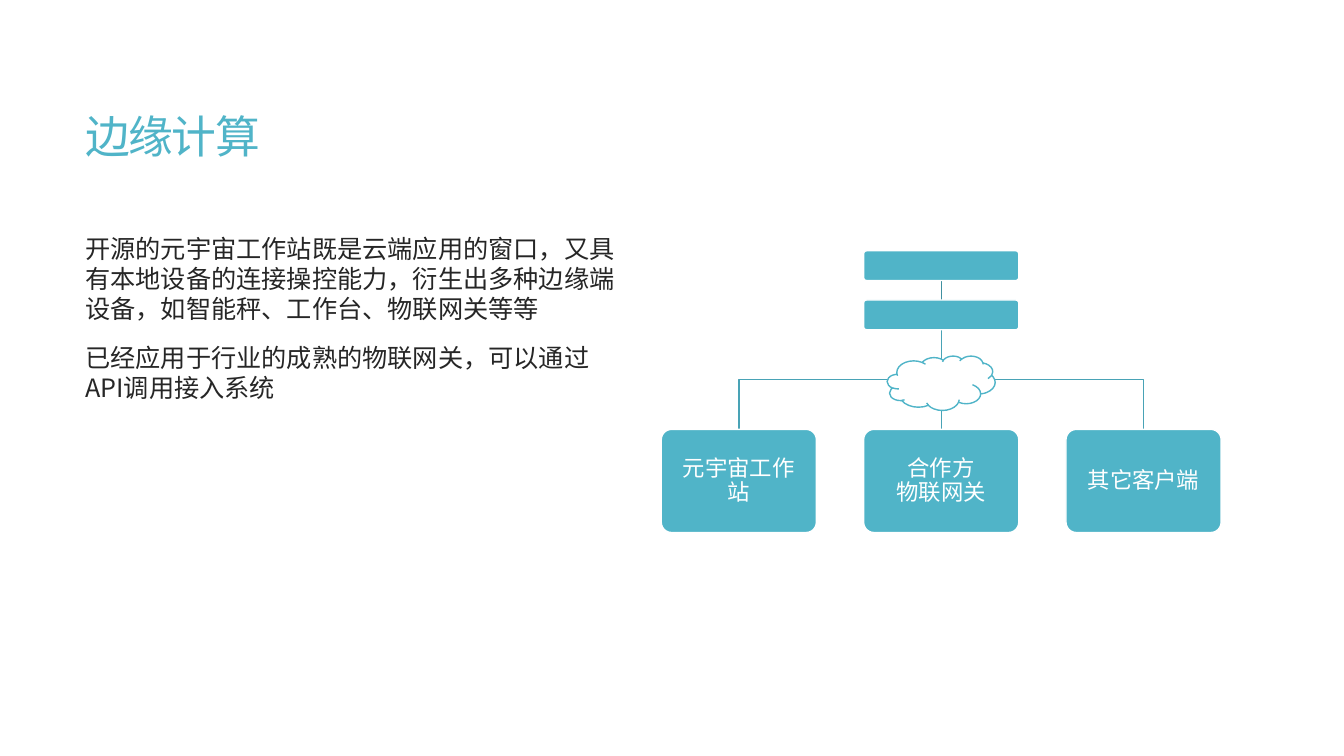
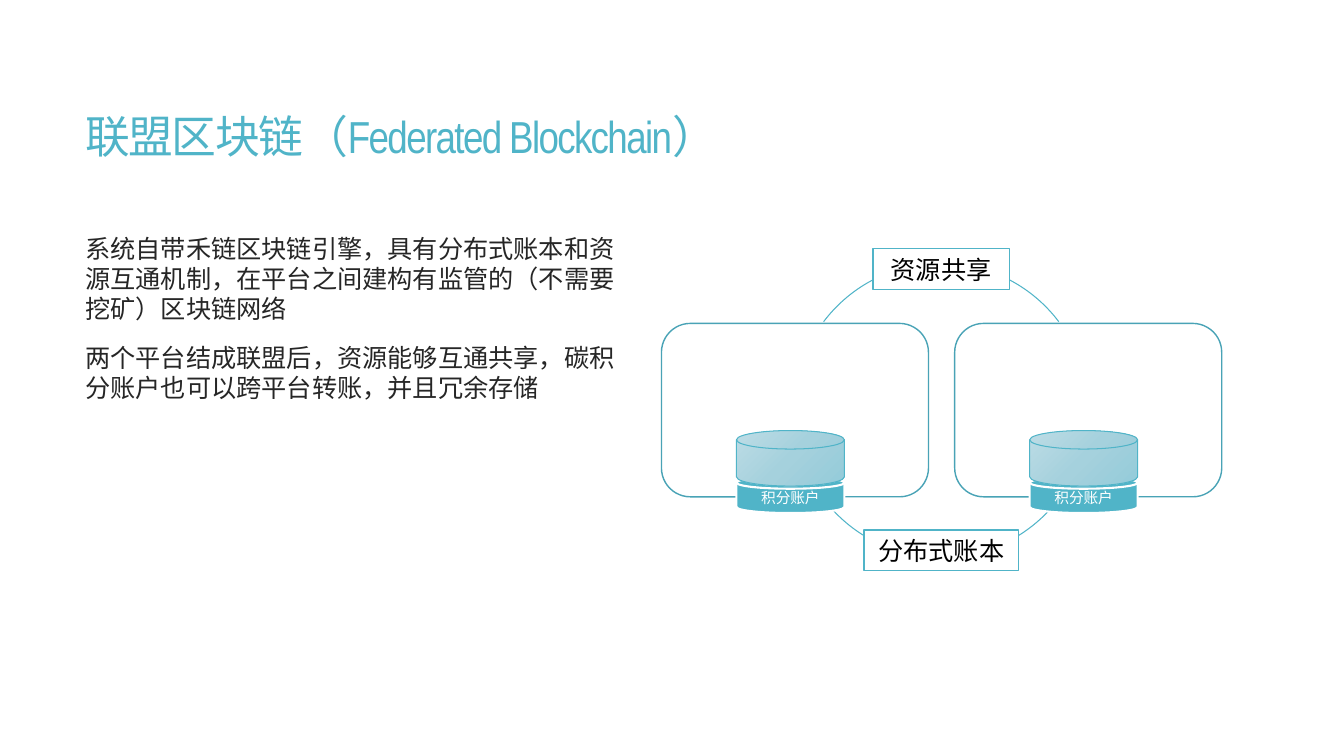
from copy import deepcopy

from lxml import etree
from pptx import Presentation
from pptx.dml.color import RGBColor
from pptx.enum.shapes import MSO_CONNECTOR, MSO_SHAPE
from pptx.enum.text import MSO_ANCHOR, MSO_AUTO_SIZE, PP_ALIGN
from pptx.oxml.ns import qn
from pptx.util import Cm, Pt

LEFT, CENTER = PP_ALIGN.LEFT, PP_ALIGN.CENTER
TOP, MIDDLE = MSO_ANCHOR.TOP, MSO_ANCHOR.MIDDLE
ROUND, RECT, CLOUD = MSO_SHAPE.ROUNDED_RECTANGLE, MSO_SHAPE.RECTANGLE, MSO_SHAPE.CLOUD
DISK, ARC = MSO_SHAPE.FLOWCHART_MAGNETIC_DISK, MSO_SHAPE.ARC
STRAIGHT, FIXED = MSO_CONNECTOR.STRAIGHT, MSO_AUTO_SIZE.NONE

COLOR = {"teal": "50B4C8", "edge": "49A3B6", "deep": "4090A0", "white": "FFFFFF",
         "ink": "262626", "black": "000000",
         "pale": "BDDCE5", "mist": "A5D1DD", "aqua": "94CBD9"}
HAN, NARROW = "Noto Sans CJK SC", "Arial Narrow"

EDGE = {
    "title": [("边缘计算", HAN)],
    "body": ["开源的元宇宙工作站既是云端应用的窗口，又具有本地设备的连接操控能力，"
             "衍生出多种边缘端设备，如智能秤、工作台、物联网关等等",
             "已经应用于行业的成熟的物联网关，可以通过API调用接入系统"],
    "nodes": [["元宇宙工作站"], ["合作方", "物联网关"], ["其它客户端"]],
}
CHAIN = {
    "title": [("联盟区块链", HAN), ("（Federated Blockchain）", NARROW)],
    "body": ["系统自带禾链区块链引擎，具有分布式账本和资源互通机制，"
             "在平台之间建构有监管的（不需要挖矿）区块链网络",
             "两个平台结成联盟后，资源能够互通共享，碳积分账户也可以跨平台转账，"
             "并且冗余存储"],
    "disk": "积分账户",
    # text, top, width, arc start and end in degrees
    "links": [("资源共享", 6.27, 3.43, 217, 323), ("分布式账本", 13.36, 3.89, 37, 143)],
}

AXIS = 23.72    # centre line of both diagrams
FIRST = 16.67   # left edge of both diagrams


def rgb(name):
    """Look up a colour by name."""
    return RGBColor.from_string(COLOR[name])


def add_run(para, text, size, color, font=HAN):
    """Add one run, with the Han font for East Asian text."""
    run = para.add_run()
    run.text = text
    run.font.size = Pt(size)
    run.font.color.rgb = rgb(color)
    run.font.name = font
    props = run.font._element
    etree.SubElement(props, qn("a:ea")).set("typeface", HAN)
    return props


def place(shape, left, top, width, height):
    """Set the place and size of a shape in centimetres."""
    shape.left, shape.top = Cm(left), Cm(top)
    shape.width, shape.height = Cm(width), Cm(height)


def add_form(slide, kind, box, fill, line, weight=1):
    """Add a preset shape; a fill of None leaves it open."""
    shape = slide.shapes.add_shape(kind, *map(Cm, box))
    shape.shadow.inherit = False
    if fill:
        shape.fill.solid()
        shape.fill.fore_color.rgb = rgb(fill)
    else:
        shape.fill.background()
    shape.line.color.rgb = rgb(line)
    shape.line.width = Pt(weight)
    return shape


def add_label(shape, lines, size, color, space=1.0):
    """Write centred lines inside a shape."""
    frame = shape.text_frame
    frame.vertical_anchor = MIDDLE
    frame.margin_left = frame.margin_right = Cm(0.2)
    para = frame.paragraphs[0]
    para.alignment = CENTER
    para.line_spacing = space
    for i, line in enumerate(lines):
        if i:
            para.add_line_break()
        add_run(para, line, size, color)


def add_line(slide, top, end, color):
    """Draw a vertical line on the axis."""
    line = slide.shapes.add_connector(STRAIGHT, Cm(AXIS), Cm(top), Cm(AXIS), Cm(end))
    line.line.color.rgb = rgb(color)
    line.line.width = Pt(1)
    etree.SubElement(line._element.spPr, qn("a:effectLst"))


def add_elbow(slide, top, mid, end, x):
    """Draw a bent line from the axis to a node."""
    points = [(AXIS, mid), (x, mid), (x, end)]
    path = slide.shapes.build_freeform(Cm(AXIS), Cm(top))
    path.add_line_segments([(Cm(a), Cm(b)) for a, b in points], close=False)
    shape = path.convert_to_shape()
    shape.shadow.inherit = False
    shape.fill.background()
    shape.line.color.rgb = rgb("edge")
    shape.line.width = Pt(1)


def add_shade(shape):
    """Give a shape the three-step pale gradient."""
    shape.fill.gradient()
    shape.fill.gradient_angle = 315
    first = shape._element.spPr.find(".//" + qn("a:gs"))
    first.addnext(deepcopy(first))
    steps = zip(shape.fill.gradient_stops, ("pale", "mist", "aqua"), (0, 0.5, 1))
    for stop, color, spot in steps:
        stop.color.rgb = rgb(color)
        stop.position = spot


def add_page(deck, data):
    """Add a slide with its title and body text."""
    slide = deck.slides.add_slide(deck.slide_layouts[5])
    title = slide.shapes.title
    place(title, 1.9, 1.9, 28.88, 3.23)
    frame = title.text_frame
    frame.auto_size = FIXED
    frame.vertical_anchor = MIDDLE
    para = frame.paragraphs[0]
    para.alignment = LEFT
    para.line_spacing = 0.85
    for text, font in data["title"]:
        add_run(para, text, 32, "teal", font).set("spc", "-120")

    body = slide.shapes.add_textbox(Cm(1.9), Cm(5.75), Cm(14.15), Cm(9.2))
    frame = body.text_frame
    frame.word_wrap = True
    frame.vertical_anchor = TOP
    for i, text in enumerate(data["body"]):
        para = frame.add_paragraph() if i else frame.paragraphs[0]
        para.space_before = Pt(13)
        add_run(para, text, 18, "ink")
    return slide


def draw_edge(slide, nodes):
    """Draw the tree of bars, cloud and client nodes."""
    wide, step = 3.91, 5.1
    bars, thick = (6.32, 7.56), 0.75
    trunk, mid, row = bars[1] + thick, 9.57, 10.82
    add_line(slide, bars[0] + thick, bars[1], "deep")
    add_line(slide, trunk, row, "edge")
    for side in (-1, 1):
        add_elbow(slide, trunk, mid, row, AXIS + side * step)
    for top in bars:
        bar = add_form(slide, ROUND, (AXIS - wide / 2, top, wide, thick), "teal", "white")
        bar.adjustments[0] = 0.1
    for i, lines in enumerate(nodes):
        left = AXIS + (i - 1) * step - wide / 2
        node = add_form(slide, ROUND, (left, row, wide, 2.6), "teal", "white")
        node.adjustments[0] = 0.1
        add_label(node, lines, 16, "white", 0.9)
    add_form(slide, CLOUD, (AXIS - 1.36, 8.97, 2.72, 1.37), "white", "teal")


def draw_chain(slide, data):
    """Draw two platforms joined by a ring of labelled links."""
    lefts = [FIRST + i * 7.39 for i in range(2)]
    radius, hub = 3.71, 10.34
    for left in lefts:
        add_form(slide, ROUND, (left, 8.15, 6.73, 4.37), "white", "edge")
    for text, top, wide, start, end in data["links"]:
        ring = (AXIS - radius, hub - radius, 2 * radius, 2 * radius)
        arc = add_form(slide, ARC, ring, None, "teal", 0.75)
        arc.adjustments[0], arc.adjustments[1] = start * 0.6, end * 0.6
    for left in lefts:
        spot = left + 1.89
        base = add_form(slide, DISK, (spot, 12.01, 2.72, 0.92), "teal", "white", 1.5)
        add_label(base, [data["disk"]], 10.5, "white")
        add_shade(add_form(slide, DISK, (spot, 10.85, 2.72, 1.4), "pale", "teal", 0.75))
    for text, top, wide, start, end in data["links"]:
        tag = add_form(slide, RECT, (AXIS - wide / 2, top, wide, 1.02), "white", "teal")
        add_label(tag, [text], 18, "black")


deck = Presentation()
deck.slide_width, deck.slide_height = Cm(33.87), Cm(19.05)
draw_edge(add_page(deck, EDGE), EDGE["nodes"])
draw_chain(add_page(deck, CHAIN), CHAIN)
deck.save("out.pptx")
